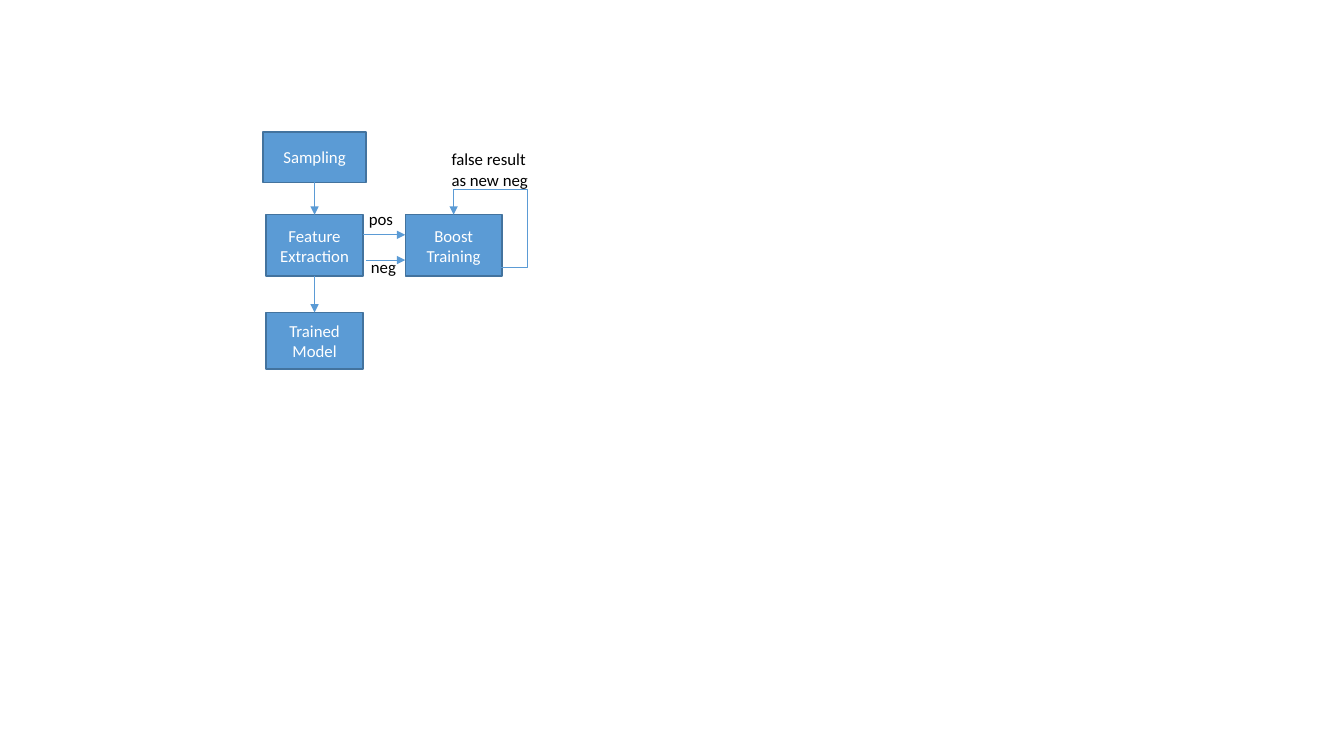
from dataclasses import dataclass

from lxml.etree import SubElement
from pptx import Presentation
from pptx.dml.color import RGBColor
from pptx.enum.shapes import MSO_CONNECTOR as CONN, MSO_SHAPE as SHAPE
from pptx.enum.text import MSO_ANCHOR as ANCHOR, MSO_AUTO_SIZE as AUTO, PP_ALIGN as ALIGN
from pptx.oxml.ns import qn
from pptx.shapes.connector import Connector
from pptx.slide import Slide
from pptx.text.text import TextFrame
from pptx.util import Emu, Pt

PX = 9144
BLUE = RGBColor(0x5B, 0x9B, 0xD5)
DARK_BLUE = RGBColor(0x43, 0x73, 0x9E)
WHITE = RGBColor(0xFF, 0xFF, 0xFF)
BLACK = RGBColor(0x00, 0x00, 0x00)


@dataclass(frozen=True)
class Block:
    text: str
    x: int
    y: int
    w: int
    h: int


@dataclass(frozen=True)
class Arrow:
    x1: int
    y1: int
    x2: int
    y2: int


STEPS = [
    Block("Feature Extraction", 264, 213, 96, 61),
    Block("Sampling", 261, 131, 102, 50),
    Block("Boost Training", 402, 213, 96, 61),
    Block("Trained Model", 264, 310, 96, 56),
]
LABELS = [
    Block("pos", 356, 202, 98, 30),
    Block("neg", 358, 250, 98, 30),
    Block("false result as new neg", 438, 143, 98, 50),
]
ARROWS = [
    Arrow(312, 180, 312, 213),
    Arrow(360, 233, 402, 233),
    Arrow(363, 258, 402, 258),
    Arrow(312, 274, 312, 310),
]
FEEDBACK = Arrow(457, 265, 450, 213)
FEEDBACK_RIGHT, FEEDBACK_TOP = 523, 188


def px(*values: int) -> list[Emu]:
    return [Emu(v * PX) for v in values]


def set_text(tf: TextFrame, text: str, color: RGBColor, align: ALIGN) -> None:
    tf.word_wrap = True
    p = tf.paragraphs[0]
    p.text = text
    p.alignment = align
    p.font.name = "Calibri"
    p.font.size = Pt(12)
    p.font.color.rgb = color


def add_step(s: Slide, b: Block) -> None:
    sp = s.shapes.add_shape(SHAPE.RECTANGLE, *px(b.x, b.y, b.w, b.h))
    sp.shadow.inherit = False
    sp.fill.solid()
    sp.fill.fore_color.rgb = BLUE
    sp.line.color.rgb = DARK_BLUE
    sp.line.width = Pt(1)
    sp.text_frame.vertical_anchor = ANCHOR.MIDDLE
    set_text(sp.text_frame, b.text, WHITE, ALIGN.CENTER)


def add_label(s: Slide, b: Block) -> None:
    sp = s.shapes.add_textbox(*px(b.x, b.y, b.w, b.h))
    set_text(sp.text_frame, b.text, BLACK, ALIGN.LEFT)
    sp.text_frame.auto_size = AUTO.SHAPE_TO_FIT_TEXT


def add_arrow(s: Slide, a: Arrow, kind: CONN = CONN.STRAIGHT) -> Connector:
    c = s.shapes.add_connector(kind, *px(a.x1, a.y1, a.x2, a.y2))
    c.line.color.rgb = BLUE
    c.line.width = Pt(0.5)
    SubElement(c.line._get_or_add_ln(), qn("a:tailEnd"), type="triangle")
    SubElement(c._element.spPr, qn("a:effectLst"))
    return c


def add_feedback(s: Slide, a: Arrow, right: int, top: int) -> None:
    c = add_arrow(s, a, CONN.ELBOW)
    geom = c._element.spPr.find(qn("a:prstGeom"))
    geom.set("prst", "bentConnector4")
    guides = geom.find(qn("a:avLst"))
    ratios = ((right - a.x1) / (a.x2 - a.x1), (top - a.y1) / (a.y2 - a.y1))
    for i, ratio in enumerate(ratios, 1):
        SubElement(guides, qn("a:gd"), name=f"adj{i}", fmla=f"val {round(ratio * 100000)}")


def main() -> None:
    prs = Presentation()
    prs.slide_width, prs.slide_height = px(1333, 750)
    s = prs.slides.add_slide(prs.slide_layouts[6])
    for step in STEPS:
        add_step(s, step)
    for arrow in ARROWS:
        add_arrow(s, arrow)
    add_feedback(s, FEEDBACK, FEEDBACK_RIGHT, FEEDBACK_TOP)
    for label in LABELS:
        add_label(s, label)
    prs.save("out.pptx")


if __name__ == "__main__":
    main()
